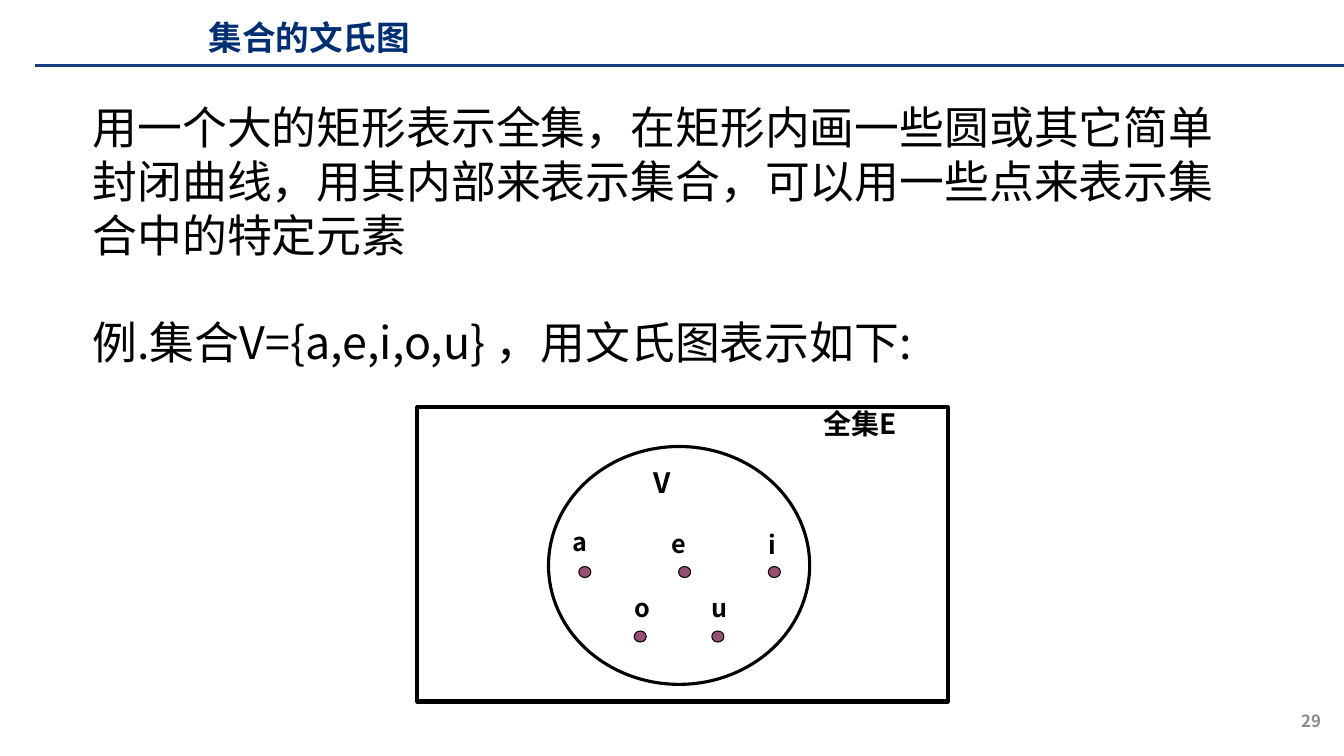
from pptx import Presentation
from pptx.dml.color import RGBColor
from pptx.enum.shapes import MSO_CONNECTOR as CONN, MSO_SHAPE as SHAPE
from pptx.enum.text import MSO_ANCHOR as ANCHOR, PP_ALIGN as ALIGN
from pptx.oxml.ns import qn
from pptx.util import Inches, Pt
from lxml.etree import SubElement

FONT = "Noto Sans CJK SC"
COLORS = {"rule": "16407F", "title": "002E73", "page": "8C8C8C",
          "ink": "000000", "dot": "954F72"}
BODY = [
    "用一个大的矩形表示全集，在矩形内画一些圆或其它简单封闭曲线，"
    "用其内部来表示集合，可以用一些点来表示集合中的特定元素",
    "例.集合V={a,e,i,o,u} ，用文氏图表示如下:",
]
ELEMENTS = [
    ("a", 5.58, 5.17, 0.46, 5.74, 5.62),
    ("e", 6.56, 5.19, 0.44, 6.73, 5.62),
    ("i", 7.52, 5.2, 0.38, 7.62, 5.62),
    ("o", 6.19, 5.83, 0.46, 6.29, 6.26),
    ("u", 6.96, 5.83, 0.48, 7.06, 6.26),
]


def rgb(name):
    return RGBColor.from_string(COLORS[name])


def add_text(s, box, lines, size, color="ink", bold=True, wrap=True,
             anchor=ANCHOR.TOP, align=ALIGN.LEFT):
    tf = s.shapes.add_textbox(*map(Inches, box)).text_frame
    tf.word_wrap = wrap
    tf.vertical_anchor = anchor
    for i, line in enumerate(lines):
        p = tf.add_paragraph() if i else tf.paragraphs[0]
        p.text = line
        p.alignment = align
        p.line_spacing = Pt(size * 1.2)
        if i:
            p.space_before = Pt(size * 1.2)
        for r in p.runs:
            r.font.name = FONT
            r.font.size = Pt(size)
            r.font.bold = bold
            r.font.color.rgb = rgb(color)
            SubElement(r.font._element, qn("a:ea")).set("typeface", FONT)


def add_outline(s, kind, box, width, fill=None):
    sp = s.shapes.add_shape(kind, *map(Inches, box))
    sp.shadow.inherit = False
    if fill:
        sp.fill.solid()
        sp.fill.fore_color.rgb = rgb(fill)
    else:
        sp.fill.background()
    sp.line.color.rgb = rgb("ink")
    sp.line.width = Pt(width)


def add_rule(s, x1, x2, y):
    line = s.shapes.add_connector(CONN.STRAIGHT, Inches(x1), Inches(y),
                                  Inches(x2), Inches(y))
    line.line.color.rgb = rgb("rule")
    line.line.width = Pt(2.25)
    SubElement(line._element.spPr, qn("a:effectLst"))


def add_venn(s):
    add_outline(s, SHAPE.RECTANGLE, (4.14, 4.04, 5.26, 2.92), 3)
    add_outline(s, SHAPE.OVAL, (5.44, 4.43, 2.59, 2.36), 2.25)
    add_text(s, (8.07, 3.98, 1.33, 0.59), ["全集E"], 20, wrap=False)
    add_text(s, (6.38, 4.57, 0.57, 0.59), ["V"], 20, wrap=False)
    for name, x, y, width, dot_x, dot_y in ELEMENTS:
        add_outline(s, SHAPE.OVAL, (dot_x, dot_y, 0.12, 0.11), 0.75, "dot")
        add_text(s, (x, y, width, 0.54), [name], 18, wrap=False)


def main():
    prs = Presentation()
    prs.slide_width, prs.slide_height = Inches(13.33), Inches(7.5)
    s = prs.slides.add_slide(prs.slide_layouts[6])
    add_rule(s, 0.35, 13.33, 0.65)
    add_text(s, (10.2, 6.95, 3, 0.4), ["29"], 12, "page",
             anchor=ANCHOR.MIDDLE, align=ALIGN.RIGHT)
    add_text(s, (1.97, 0.15, 11.36, 0.44), ["集合的文氏图"], 24, "title",
             anchor=ANCHOR.MIDDLE)
    add_text(s, (0.82, 0.94, 11.69, 3.33), BODY, 32, bold=False)
    add_venn(s)
    prs.save("out.pptx")


if __name__ == "__main__":
    main()
